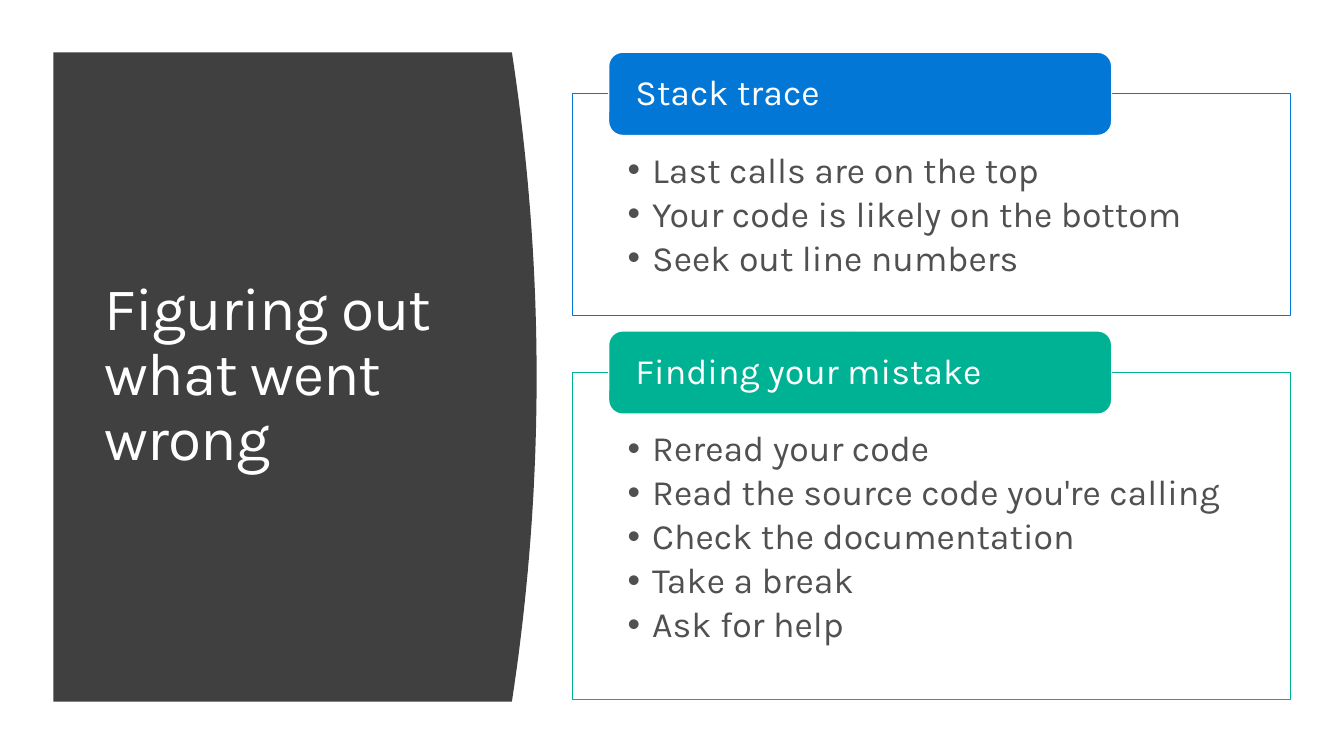
from dataclasses import dataclass

from pptx import Presentation
from pptx import util as u
from pptx.dml.color import RGBColor
from pptx.enum import shapes, text


@dataclass(frozen=True)
class Theme:
    font: str = "Karla"
    dark: str = "404040"
    white: str = "FFFFFF"
    body: str = "505050"
    blue: str = "0377D6"
    green: str = "00B294"
    title_size: int = 44
    text_size: int = 26
    line_width: float = 0.85


THEME = Theme()
CURVE_STEPS = 40
CURVE_BULGE = 0.25
TAB_HEIGHT = 0.84
TAB_RISE = 0.42

PANELS = [
    ((5.79, 0.95, 7.27, 2.24), THEME.blue, "Stack trace", [
        "Last calls are on the top",
        "Your code is likely on the bottom",
        "Seek out line numbers",
    ]),
    ((5.79, 3.77, 7.27, 3.31), THEME.green, "Finding your mistake", [
        "Reread your code",
        "Read the source code you're calling",
        "Check the documentation",
        "Take a break",
        "Ask for help",
    ]),
]


def apply(target, values):
    for name, value in values.items():
        setattr(target, name, value)


def place(sp, x, y, w, h):
    apply(sp, dict(left=u.Inches(x), top=u.Inches(y),
                   width=u.Inches(w), height=u.Inches(h)))


def paint(sp, fill, line=None):
    sp.fill.solid()
    sp.fill.fore_color.rgb = RGBColor.from_string(fill)
    if line:
        sp.line.color.rgb = RGBColor.from_string(line)
        sp.line.width = u.Pt(THEME.line_width)
    else:
        sp.line.fill.background()


def write(sp, lines, size, color, margins, anchor, after=0):
    tf = sp.text_frame
    sides = ("margin_left", "margin_top", "margin_right", "margin_bottom")
    apply(tf, dict(zip(sides, map(u.Inches, margins))))
    apply(tf, dict(word_wrap=True, auto_size=text.MSO_AUTO_SIZE.NONE,
                   vertical_anchor=anchor))
    for i, line in enumerate(lines):
        p = tf.add_paragraph() if i else tf.paragraphs[0]
        apply(p, dict(alignment=text.PP_ALIGN.LEFT, line_spacing=0.9,
                      space_before=u.Pt(0), space_after=u.Pt(after)))
        r = p.add_run()
        r.text = line
        apply(r.font, dict(name=THEME.font, size=u.Pt(size)))
        r.font.color.rgb = RGBColor.from_string(color)
    return tf.paragraphs


def title_region(s, x, y, w, h):
    edge = x + w - CURVE_BULGE
    curve = []
    for i in range(CURVE_STEPS + 1):
        t = 2 * i / CURVE_STEPS - 1
        curve.append((edge + CURVE_BULGE * (1 - t * t),
                      y + h * i / CURVE_STEPS))
    fb = s.shapes.build_freeform(u.Inches(x), u.Inches(y))
    fb.add_line_segments([(u.Inches(px), u.Inches(py))
                          for px, py in curve + [(x, y + h)]])
    backdrop = fb.convert_to_shape()
    backdrop.shadow.inherit = False
    paint(backdrop, THEME.dark)

    title = s.shapes.title
    title._element.addprevious(backdrop._element)
    place(title, x + 0.42, y + 0.6, w - 1.08, h - 1.22)
    p = write(title, ["Figuring out what went wrong"], THEME.title_size,
              THEME.white, (0.1, 0.05, 0.1, 0.05), text.MSO_ANCHOR.MIDDLE)[0]
    p.runs[0].font._element.set("spc", "-70")


def panel(s, body, box, color, heading, items):
    x, y, w, h = box
    place(body, *box)
    paint(body, THEME.white, color)
    for p in write(body, items, THEME.text_size, THEME.body,
                   (0.56, 0.59, 0.56, 0.2), text.MSO_ANCHOR.TOP, after=4):
        pPr = p._p.get_or_add_pPr()
        pPr.set("marL", str(u.Inches(0.25)))
        pPr.set("indent", str(-u.Inches(0.25)))

    tab = s.shapes.add_shape(shapes.MSO_SHAPE.ROUNDED_RECTANGLE, 0, 0, 0, 0)
    place(tab, x + 0.37, y - TAB_RISE, w * 0.7, TAB_HEIGHT)
    tab.shadow.inherit = False
    paint(tab, color, THEME.white)
    write(tab, [heading], THEME.text_size, THEME.white,
          (0.23, 0, 0.23, 0), text.MSO_ANCHOR.MIDDLE)


def main():
    prs = Presentation()
    prs.slide_width, prs.slide_height = u.Inches(13.6), u.Inches(7.65)
    s = prs.slides.add_slide(prs.slide_layouts.get_by_name("Two Content"))
    title_region(s, 0.54, 0.53, 4.89, 6.57)
    bodies = list(s.placeholders)[1:]
    for body, details in zip(bodies, PANELS):
        panel(s, body, *details)
    prs.save("out.pptx")


if __name__ == "__main__":
    main()
